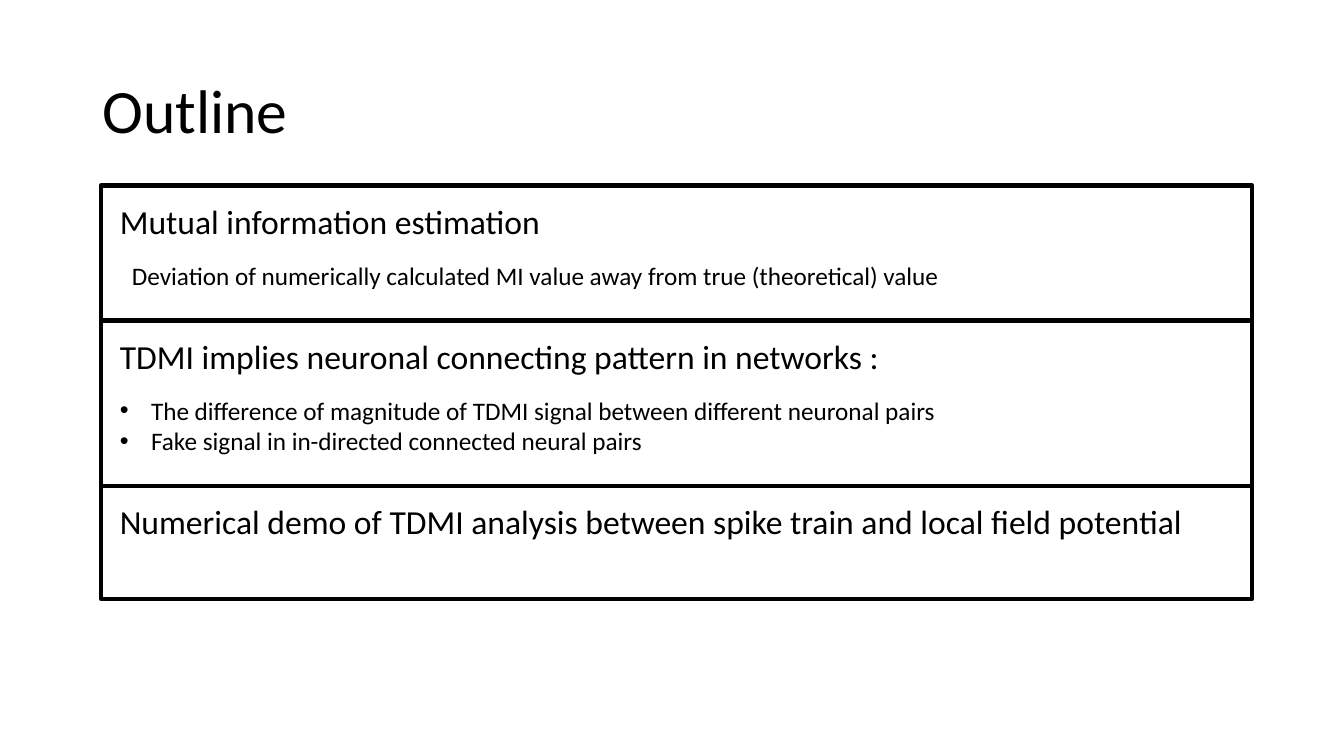
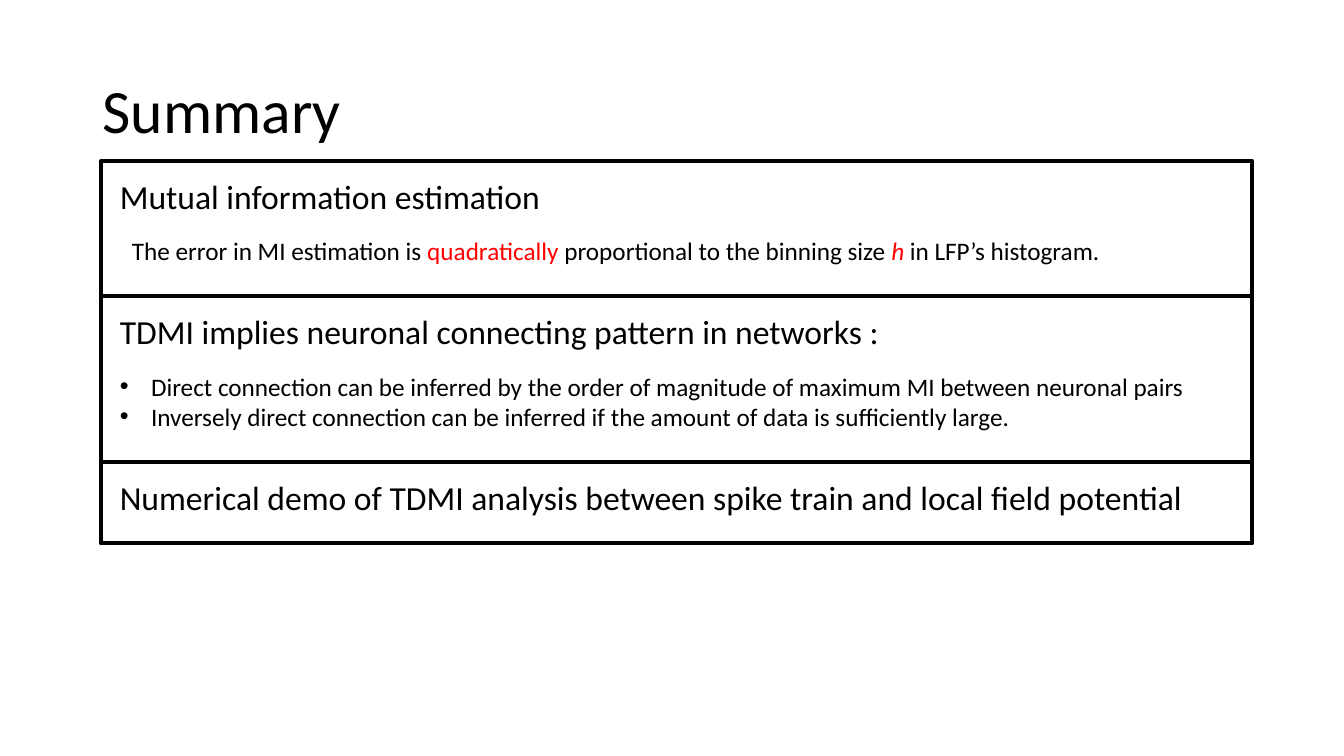
"""Build the outline and summary slides, which share one framed three-part layout."""

from dataclasses import dataclass

from lxml.etree import SubElement
from pptx import Presentation
from pptx.dml.color import RGBColor
from pptx.enum.shapes import MSO_CONNECTOR, MSO_SHAPE
from pptx.enum.text import MSO_ANCHOR, PP_ALIGN
from pptx.oxml.ns import qn
from pptx.shapes.autoshape import Shape
from pptx.slide import Slide
from pptx.util import Emu, Pt

EMU_PER_PX = 9144
COLORS = {"ink": "000000", "accent": "FF0000"}
FONT = "Calibri"
TITLE_SIZE, HEADING_SIZE, DETAIL_SIZE = 44, 24, 18
RULE_WIDTH = 3
FRAME_LEFT, FRAME_WIDTH = 100, 1142
TEXT_LEFT = 109
DETAIL_INDENT, BULLET_INDENT = 12, 31
HEADING_DROP, DETAIL_DROP = 10, 69
HEADING_HEIGHT, LINE_HEIGHT = 50, 30


@dataclass(frozen=True)
class Span:
    text: str
    color: str = "ink"
    italic: bool = False


Line = tuple[Span, ...]


@dataclass(frozen=True)
class Section:
    heading: str
    top: int
    details: tuple[Line, ...] = ()
    bulleted: bool = False


@dataclass(frozen=True)
class Page:
    title: str
    frame_top: int
    frame_height: int
    sections: tuple[Section, ...]


def px(length: int) -> Emu:
    return Emu(length * EMU_PER_PX)


def rgb(color: str) -> RGBColor:
    return RGBColor.from_string(COLORS[color])


def make_sections(estimate: Line, connections: tuple[Line, ...]) -> tuple[Section, ...]:
    return (
        Section("Mutual information estimation", 0, (estimate,)),
        Section("TDMI implies neuronal connecting pattern in networks :", 134, connections, True),
        Section(
            "Numerical demo of TDMI analysis between spike train and local field potential",
            298,
        ),
    )


PAGES = (
    Page("Outline", 184, 410, make_sections(
        (Span("Deviation of numerically calculated MI value away from true (theoretical) value"),),
        (
            (Span("The difference of magnitude of TDMI signal between different neuronal pairs"),),
            (Span("Fake signal in in-directed connected neural pairs"),),
        ),
    )),
    Page("Summary", 160, 379, make_sections(
        (
            Span("The error in MI estimation is "),
            Span("quadratically ", "accent"),
            Span("proportional to the binning size "),
            Span("h", "accent", True),
            Span(" in LFP’s histogram."),
        ),
        (
            (Span("Direct connection can be inferred by the order of magnitude"
                  " of maximum MI between neuronal pairs"),),
            (Span("Inversely direct connection can be inferred"
                  " if the amount of data is sufficiently large."),),
        ),
    )),
)


def add_text(slide: Slide, left: int, top: int, width: int, height: int,
             lines: tuple[Line, ...], size: int) -> Shape:
    box = slide.shapes.add_textbox(px(left), px(top), px(width), px(height))
    frame = box.text_frame
    frame.word_wrap = True
    for index, line in enumerate(lines):
        paragraph = frame.add_paragraph() if index else frame.paragraphs[0]
        paragraph.alignment = PP_ALIGN.LEFT
        for span in line:
            run = paragraph.add_run()
            run.text = span.text
            run.font.name = FONT
            run.font.size = Pt(size)
            run.font.italic = span.italic
            run.font.color.rgb = rgb(span.color)
    return box


def add_bullets(box: Shape) -> None:
    for paragraph in box.text_frame.paragraphs:
        properties = paragraph._p.get_or_add_pPr()
        properties.set("marL", str(px(BULLET_INDENT)))
        properties.set("indent", str(-px(BULLET_INDENT)))
        SubElement(properties, qn("a:buFont")).set("typeface", "Arial")
        SubElement(properties, qn("a:buChar")).set("char", "•")


def add_title(slide: Slide, title: str) -> None:
    box = add_text(slide, 92, 40, 1150, 145, ((Span(title),),), TITLE_SIZE)
    box.text_frame.vertical_anchor = MSO_ANCHOR.MIDDLE
    box.text_frame.paragraphs[0].line_spacing = 0.9


def add_frame(slide: Slide, top: int, height: int) -> None:
    frame = slide.shapes.add_shape(
        MSO_SHAPE.RECTANGLE, px(FRAME_LEFT), px(top), px(FRAME_WIDTH), px(height))
    frame.shadow.inherit = False
    frame.fill.background()
    frame.line.color.rgb = rgb("ink")
    frame.line.width = Pt(RULE_WIDTH)


def add_divider(slide: Slide, top: int) -> None:
    divider = slide.shapes.add_connector(
        MSO_CONNECTOR.STRAIGHT,
        px(FRAME_LEFT), px(top), px(FRAME_LEFT + FRAME_WIDTH), px(top))
    divider.line.color.rgb = rgb("ink")
    divider.line.width = Pt(RULE_WIDTH)
    SubElement(divider._element.spPr, qn("a:effectLst"))


def add_section(slide: Slide, section: Section, frame_top: int) -> None:
    top = frame_top + section.top
    right = FRAME_LEFT + FRAME_WIDTH
    if section.top:
        add_divider(slide, top)
    add_text(slide, TEXT_LEFT, top + HEADING_DROP, right - TEXT_LEFT, HEADING_HEIGHT,
             ((Span(section.heading),),), HEADING_SIZE)
    if section.details:
        left = TEXT_LEFT if section.bulleted else TEXT_LEFT + DETAIL_INDENT
        details = add_text(slide, left, top + DETAIL_DROP, right - left,
                           10 + LINE_HEIGHT * len(section.details),
                           section.details, DETAIL_SIZE)
        if section.bulleted:
            add_bullets(details)


def main() -> None:
    deck = Presentation()
    deck.slide_width, deck.slide_height = px(1333), px(750)
    for page in PAGES:
        slide = deck.slides.add_slide(deck.slide_layouts[6])
        add_title(slide, page.title)
        add_frame(slide, page.frame_top, page.frame_height)
        for section in page.sections:
            add_section(slide, section, page.frame_top)
    deck.save("out.pptx")


if __name__ == "__main__":
    main()
